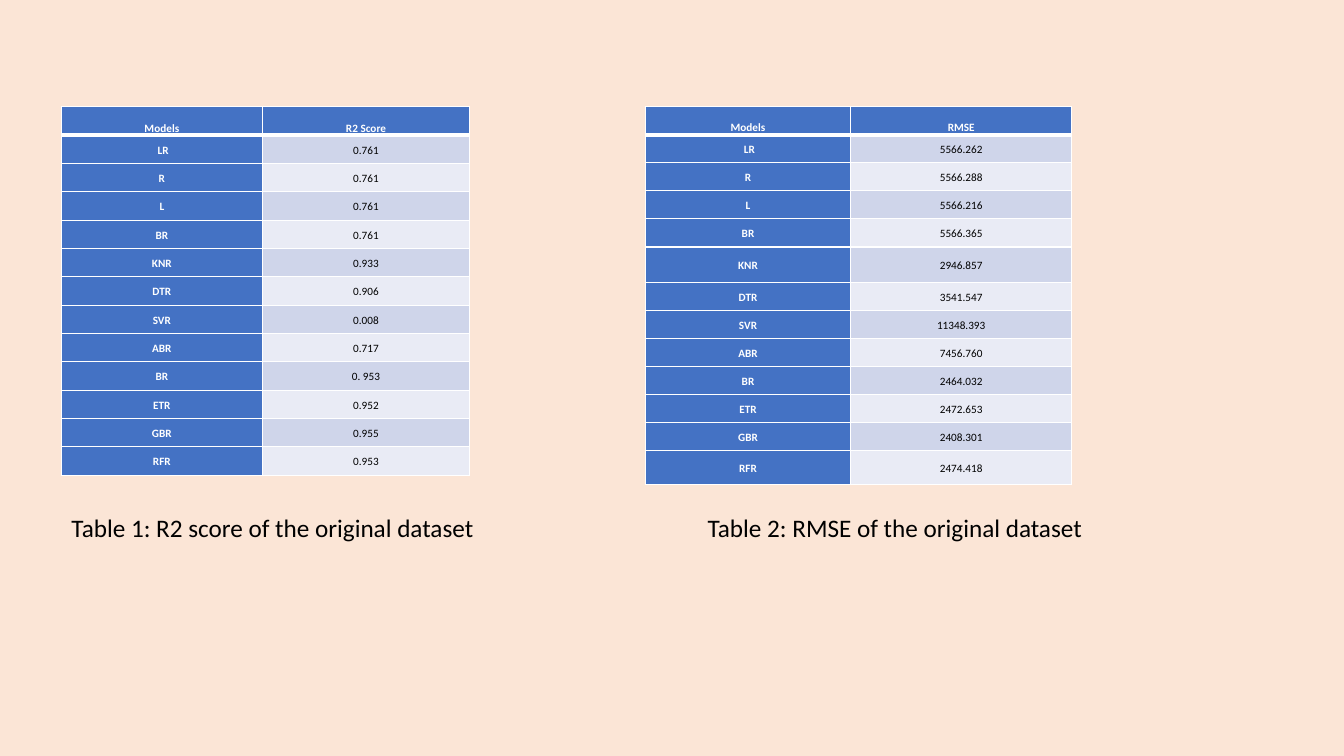
from dataclasses import dataclass, field

from lxml.etree import SubElement
from pptx import Presentation
from pptx.dml.color import RGBColor
from pptx.enum.text import MSO_ANCHOR, MSO_AUTO_SIZE, PP_ALIGN
from pptx.oxml.ns import qn
from pptx.util import Inches, Pt

WIDTH, HEIGHT = 13.33, 7.5
TABLE_TOP, CAPTION_TOP, CAPTION_HEIGHT = 14.13, 67.07, 9.47  # % of slide height
BLUE, WHITE, BLACK = "4472C4", "FFFFFF", "000000"
BANDS = ("CFD5EA", "E9EBF5")
HEAD_FORMAT = {"name": "Calibri", "size": Pt(8), "bold": True}
BODY_FORMAT = HEAD_FORMAT | {"bold": False}
CAPTION_FORMAT = {"name": "Calibri", "size": Pt(18)}
CELL_FORMAT = {"margin_left": Inches(0.07), "margin_right": Inches(0.07),
               "margin_top": 0, "margin_bottom": 0}
MODELS = [" LR", "R", "L", "BR", "KNR", "DTR", "SVR", "ABR", "BR", "ETR", "GBR", "RFR"]


@dataclass
class ScoreTable:
    """Lengths are percentages of the slide's width or height."""
    left: float
    columns: tuple[float, float]
    row: float
    measure: str
    scores: list[str]
    caption: str
    caption_left: float
    caption_width: float
    wrap: bool
    tall_rows: dict[int, float] = field(default_factory=dict)


TABLES = [
    ScoreTable(4.58, (14.93, 15.45), 3.75, "R2 Score",
               ["0.761", "0.761", "0.761", "0.761", "0.933", "0.906",
                "0.008", "0.717", "0. 953", "0.952", "0.955", "0.953"],
               "Table 1: R2 score of the original dataset", 4.58, 35.18, True),
    ScoreTable(48.01, (15.3, 16.43), 3.71, "RMSE",
               ["5566.262", "5566.288", "5566.216", "5566.365", "2946.857", "3541.547",
                "11348.393", "7456.760", "2464.032", "2472.653", "2408.301", "2474.418"],
               "Table 2: RMSE of the original dataset", 51.91, 29.71, False,
               {5: 4.7, 12: 4.5}),
]


def x(share: float) -> int:
    return Inches(WIDTH * share / 100)


def y(share: float) -> int:
    return Inches(HEIGHT * share / 100)


def color(value: str) -> RGBColor:
    return RGBColor.from_string(value)


def apply(target, values: dict) -> None:
    for name, value in values.items():
        setattr(target, name, value)


def add_run(p, text: str, values: dict, font_color: str) -> None:
    r = p.add_run()
    r.text = text
    apply(r.font, values)
    r.font.color.rgb = color(font_color)


def add_borders(cell, row: int) -> None:
    # The rule below the header is thicker than the rest
    widths = {"L": 1, "R": 1, "T": 3 if row == 1 else 1, "B": 3 if row == 0 else 1}
    tc_pr = cell._tc.get_or_add_tcPr()
    for side, width in widths.items():
        ln = SubElement(tc_pr, qn(f"a:ln{side}"), w=str(Pt(width)))
        SubElement(SubElement(ln, qn("a:solidFill")), qn("a:srgbClr"), val=WHITE)


def fill_cell(cell, text: str, row: int, col: int) -> None:
    heading = row == 0 or col == 0
    apply(cell, CELL_FORMAT)
    cell.vertical_anchor = MSO_ANCHOR.BOTTOM if row == 0 else MSO_ANCHOR.MIDDLE
    add_borders(cell, row)
    cell.fill.solid()
    cell.fill.fore_color.rgb = color(BLUE if heading else BANDS[(row - 1) % 2])
    p = cell.text_frame.paragraphs[0]
    apply(p, {"alignment": PP_ALIGN.CENTER, "line_spacing": 1.15})
    add_run(p, text, HEAD_FORMAT if heading else BODY_FORMAT, WHITE if heading else BLACK)


def add_score_table(s, spec: ScoreTable) -> None:
    rows = [("Models", spec.measure), *zip(MODELS, spec.scores)]
    heights = [spec.tall_rows.get(i, spec.row) for i in range(len(rows))]
    table = s.shapes.add_table(len(rows), 2, x(spec.left), y(TABLE_TOP),
                               x(sum(spec.columns)), y(sum(heights))).table
    for column, width in zip(table.columns, spec.columns):
        column.width = x(width)
    for i, (texts, height) in enumerate(zip(rows, heights)):
        table.rows[i].height = y(height)
        for j, text in enumerate(texts):
            fill_cell(table.cell(i, j), text, i, j)


def add_caption(s, spec: ScoreTable) -> None:
    sp = s.shapes.add_textbox(x(spec.caption_left), y(CAPTION_TOP),
                              x(spec.caption_width), y(CAPTION_HEIGHT))
    tf = sp.text_frame
    apply(tf, {"word_wrap": spec.wrap, "auto_size": MSO_AUTO_SIZE.SHAPE_TO_FIT_TEXT})
    add_run(tf.paragraphs[0], spec.caption, CAPTION_FORMAT, BLACK)


def main() -> None:
    prs = Presentation()
    apply(prs, {"slide_width": Inches(WIDTH), "slide_height": Inches(HEIGHT)})
    s = prs.slides.add_slide(prs.slide_layouts[6])

    # Background
    s.background.fill.solid()
    s.background.fill.fore_color.rgb = color("FBE5D6")

    # Tables with their captions
    for spec in TABLES:
        add_score_table(s, spec)
        add_caption(s, spec)

    prs.save("out.pptx")


if __name__ == "__main__":
    main()
